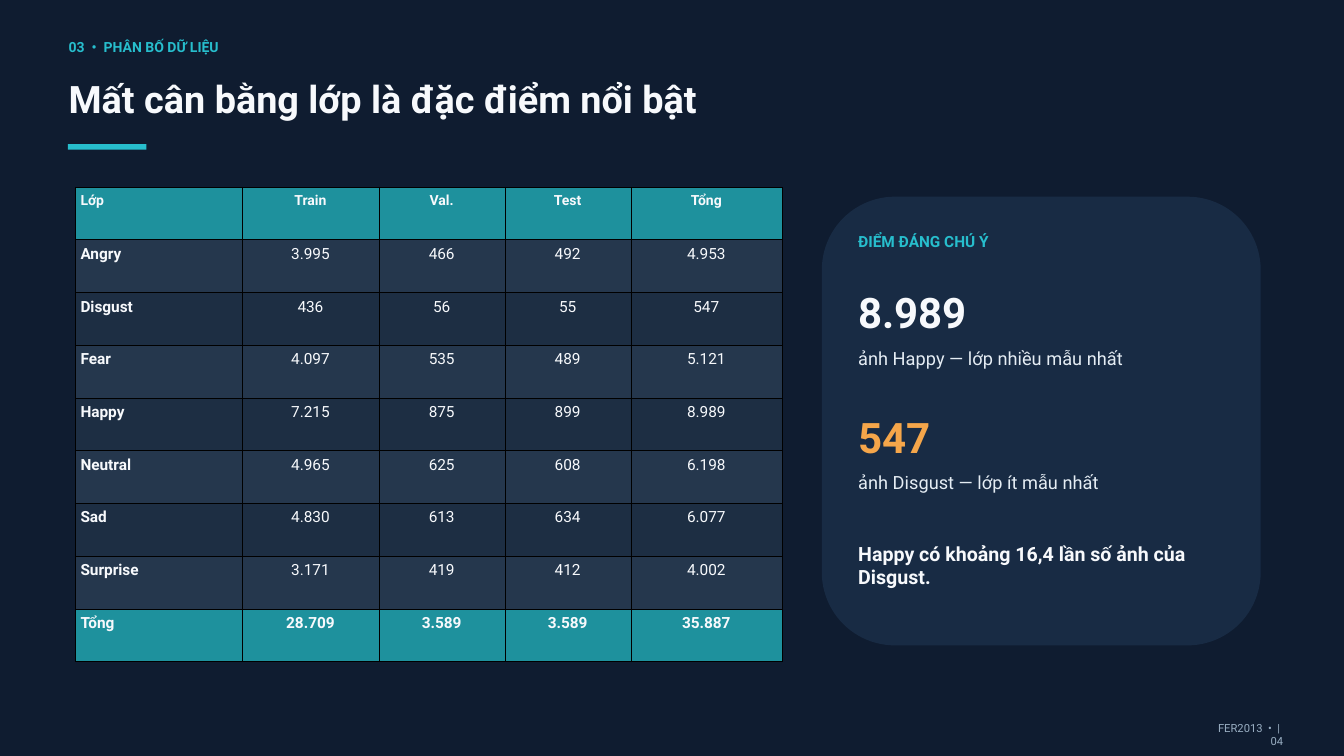
from typing import NamedTuple

from lxml.etree import SubElement
from pptx import Presentation
from pptx.dml.color import RGBColor
from pptx.enum.shapes import MSO_SHAPE as Shape
from pptx.enum.text import MSO_ANCHOR as Anchor, MSO_AUTO_SIZE as AutoSize, PP_ALIGN as Align
from pptx.oxml.ns import qn
from pptx.util import Pt

PX = 9525  # EMU per px, 96 px to the inch
FONT = "Roboto"
TITLE_ONLY = 5

NAVY = RGBColor(0x0F, 0x1C, 0x30)
CARD = RGBColor(0x18, 0x2B, 0x44)
TEAL = RGBColor(0x1E, 0x91, 0x9D)
CYAN = RGBColor(0x27, 0xBE, 0xCD)
ROW_LIGHT = RGBColor(0x25, 0x37, 0x4D)
ROW_DARK = RGBColor(0x1D, 0x2E, 0x43)
WHITE = RGBColor(0xF7, 0xF9, 0xFC)
PALE = RGBColor(0xE5, 0xED, 0xF4)
GREY = RGBColor(0x99, 0xAE, 0xC2)
ORANGE = RGBColor(0xF5, 0xA6, 0x4A)


class Box(NamedTuple):
    left: int
    top: int
    width: int
    height: int

    def emu(self) -> list[int]:
        return [length * PX for length in self]


class Highlight(NamedTuple):
    number: str
    caption: str
    color: RGBColor


COLUMN_WIDTHS = (238, 195, 180, 180, 216)
TABLE = Box(108, 267, sum(COLUMN_WIDTHS), 678)
ROWS = (
    ("Lớp", "Train", "Val.", "Test", "Tổng"),
    ("Angry", "3.995", "466", "492", "4.953"),
    ("Disgust", "436", "56", "55", "547"),
    ("Fear", "4.097", "535", "489", "5.121"),
    ("Happy", "7.215", "875", "899", "8.989"),
    ("Neutral", "4.965", "625", "608", "6.198"),
    ("Sad", "4.830", "613", "634", "6.077"),
    ("Surprise", "3.171", "419", "412", "4.002"),
    ("Tổng", "28.709", "3.589", "3.589", "35.887"),
)
CELL_INSET = 7

HIGHLIGHTS = (
    Highlight("8.989", "ảnh Happy — lớp nhiều mẫu nhất", WHITE),
    Highlight("547", "ảnh Disgust — lớp ít mẫu nhất", ORANGE),
)
CARD_TEXT_LEFT = 1226
HIGHLIGHT_TOP, HIGHLIGHT_STEP, CAPTION_OFFSET = 410, 178, 86


def write(frame, text: str, *, size: float, color: RGBColor = WHITE,
          bold: bool = False, align=Align.LEFT, inset: int = 0) -> None:
    """Fill a text frame with one paragraph in the slide's font."""
    frame.word_wrap = True
    frame.vertical_anchor = Anchor.TOP
    frame.margin_left = frame.margin_right = inset * PX
    frame.margin_top = frame.margin_bottom = inset * PX
    para = frame.paragraphs[0]
    para.alignment = align
    para.space_before = Pt(0)
    para.line_spacing = Pt(size * 1.2)
    span = para.add_run()
    span.text = text
    span.font.name = FONT
    span.font.size = Pt(size)
    span.font.bold = bold
    span.font.color.rgb = color


def add_text(page, box: Box, text: str, **style) -> None:
    write(page.shapes.add_textbox(*box.emu()).text_frame, text, **style)


def add_block(page, kind: Shape, box: Box, color: RGBColor) -> None:
    block = page.shapes.add_shape(kind, *box.emu())
    block.shadow.inherit = False
    block.fill.solid()
    block.fill.fore_color.rgb = color
    block.line.fill.background()


def add_title(page, box: Box, text: str) -> None:
    title = page.shapes.title
    title.left, title.top, title.width, title.height = box.emu()
    write(title.text_frame, text, size=40.5, bold=True)
    title.text_frame.auto_size = AutoSize.NONE


def add_borders(cell) -> None:
    properties = cell._tc.get_or_add_tcPr()
    for side in ("a:lnL", "a:lnR", "a:lnT", "a:lnB"):
        line = SubElement(properties, qn(side), w=str(Pt(0.37)))
        SubElement(SubElement(line, qn("a:solidFill")), qn("a:srgbClr"), val="000000")


def row_color(index: int) -> RGBColor:
    if index in (0, len(ROWS) - 1):
        return TEAL
    return ROW_LIGHT if index % 2 else ROW_DARK


def add_class_table(page) -> None:
    table = page.shapes.add_table(len(ROWS), len(COLUMN_WIDTHS), *TABLE.emu()).table
    table.first_row = table.horz_banding = False
    for column, width in zip(table.columns, COLUMN_WIDTHS):
        column.width = width * PX
    for r, values in enumerate(ROWS):
        table.rows[r].height = TABLE.height * PX // len(ROWS)
        for c, value in enumerate(values):
            cell = table.cell(r, c)
            add_borders(cell)
            cell.fill.solid()
            cell.fill.fore_color.rgb = row_color(r)
            cell.margin_left = cell.margin_right = CELL_INSET * PX
            cell.margin_top = cell.margin_bottom = CELL_INSET * PX
            write(cell.text_frame, value, size=16.5 if r else 15,
                  bold=c == 0 or row_color(r) == TEAL,
                  align=Align.CENTER if c else Align.LEFT, inset=CELL_INSET)


def add_highlight(page, top: int, item: Highlight) -> None:
    add_text(page, Box(CARD_TEXT_LEFT, top, 468, 79), item.number,
             size=45, color=item.color, bold=True)
    add_text(page, Box(CARD_TEXT_LEFT, top + CAPTION_OFFSET, 496, 47), item.caption,
             size=19.5, color=PALE)


def main() -> None:
    deck = Presentation()
    deck.slide_width, deck.slide_height = 1920 * PX, 1080 * PX
    page = deck.slides.add_slide(deck.slide_layouts[TITLE_ONLY])
    page.background.fill.solid()
    page.background.fill.fore_color.rgb = NAVY

    # Heading
    add_text(page, Box(98, 55, 1217, 33), "03  •  PHÂN BỐ DỮ LIỆU",
             size=15, color=CYAN, bold=True)
    add_title(page, Box(98, 108, 1707, 85), "Mất cân bằng lớp là đặc điểm nổi bật")
    add_block(page, Shape.RECTANGLE, Box(97, 206, 112, 8), CYAN)

    # Footer
    add_text(page, Box(1724, 1030, 109, 19), "FER2013  •  |  04",
             size=12, color=GREY, align=Align.RIGHT)

    # Class counts
    add_class_table(page)

    # Key points card
    add_block(page, Shape.ROUNDED_RECTANGLE, Box(1174, 281, 627, 641), CARD)
    add_text(page, Box(CARD_TEXT_LEFT, 332, 511, 36), "ĐIỂM ĐÁNG CHÚ Ý",
             size=16.5, color=CYAN, bold=True)
    for index, item in enumerate(HIGHLIGHTS):
        add_highlight(page, HIGHLIGHT_TOP + index * HIGHLIGHT_STEP, item)
    add_text(page, Box(CARD_TEXT_LEFT, 774, 490, 94),
             "Happy có khoảng 16,4 lần số ảnh của Disgust.", size=21, bold=True)

    deck.save("out.pptx")


if __name__ == "__main__":
    main()
